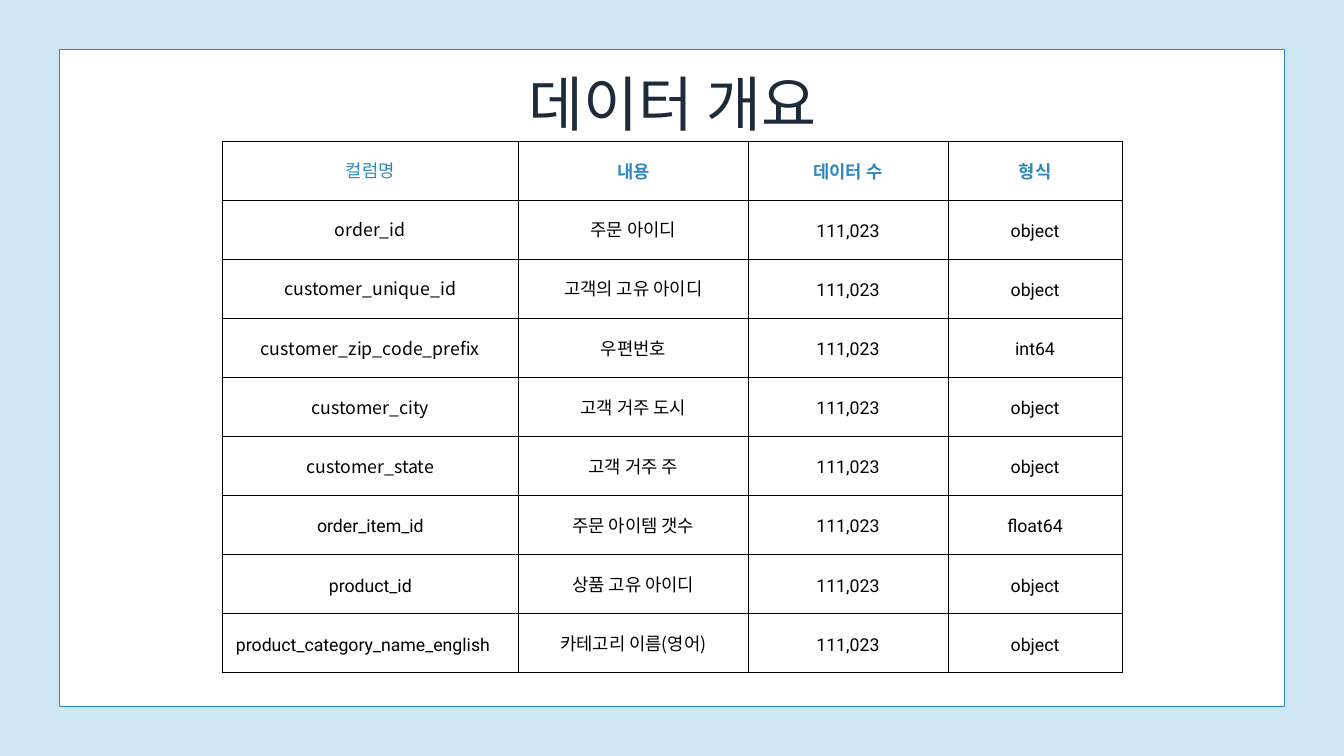
from pptx import Presentation
from pptx import util as u
from pptx.dml.color import RGBColor
from pptx.enum import shapes, text
from pptx.oxml import parse_xml
from pptx.oxml.ns import nsdecls, qn
from lxml import etree

NOTO, ROBOTO = "Noto Sans CJK KR", "Roboto"
COUNT = "111,023"
HEADERS = ["컬럼명", "내용", "데이터 수", "형식"]
FIELDS = [
    ("order_id", "주문 아이디", "object"),
    ("customer_unique_id", "고객의 고유 아이디", "object"),
    ("customer_zip_code_prefix", "우편번호", "int64"),
    ("customer_city", "고객 거주 도시", "object"),
    ("customer_state", "고객 거주 주", "object"),
    ("order_item_id", "주문 아이템 갯수", "float64"),
    ("product_id", "상품 고유 아이디", "object"),
    ("product_category_name_english", "카테고리 이름(영어)", "object"),
]
COLUMN_WIDTHS = [318, 245.5, 214.5, 186.5]
ROW_HEIGHT = 63.28


def color(value):
    return RGBColor.from_string(value)


class SlideBuilder:
    """Holds the style and the slide being filled."""

    background, panel_fill, panel_line = "CEE6F4", "FFFFFF", "3087BB"
    title_ink, header_ink, first_header_ink, ink = "1D2A3A", "3087BB", "2D8BBA", "000000"
    title_size, cell_size, cell_margin, border_width = 64, 19, 15, 0.75
    leading = 1.4

    def __init__(self, deck):
        self.slide = deck.slides.add_slide(deck.slide_layouts[5])
        fill = self.slide.background.fill
        fill.solid()
        fill.fore_color.rgb = color(self.background)

    def format_text(self, para, font, size, ink, bold=False, align=text.PP_ALIGN.CENTER):
        para.alignment = align
        para.line_spacing = u.Pt(size * self.leading)
        for span in para.runs:
            span.font.name = font
            span.font.size = u.Pt(size)
            span.font.bold = bold
            span.font.color.rgb = color(ink)
            east_asian = etree.SubElement(span.font._element, qn("a:ea"))
            east_asian.set("typeface", font)

    def panel(self, left, top, width, height):
        """Draw the white page area behind the title."""
        box = self.slide.shapes.add_shape(
            shapes.MSO_SHAPE.RECTANGLE, u.Pt(left), u.Pt(top), u.Pt(width), u.Pt(height))
        box.shadow.inherit = False
        box.fill.solid()
        box.fill.fore_color.rgb = color(self.panel_fill)
        box.line.color.rgb = color(self.panel_line)
        box.line.width = u.Pt(1.5)
        self.slide.shapes.title.element.addprevious(box.element)

    def title(self, wording, left, top, width, height):
        box = self.slide.shapes.title
        box.left, box.top, box.width, box.height = map(u.Pt, (left, top, width, height))
        frame = box.text_frame
        frame.text = wording
        frame.word_wrap = True
        frame.auto_size = text.MSO_AUTO_SIZE.SHAPE_TO_FIT_TEXT
        frame.vertical_anchor = text.MSO_ANCHOR.TOP
        frame.margin_left = frame.margin_right = frame.margin_top = frame.margin_bottom = 0
        self.format_text(frame.paragraphs[0], NOTO, self.title_size, self.title_ink)

    def table(self, left, top, widths, row_height, row_count):
        grid = self.slide.shapes.add_table(
            row_count, len(widths), u.Pt(left), u.Pt(top),
            u.Pt(sum(widths)), u.Pt(row_height * row_count)).table
        grid.first_row = grid.horz_banding = False
        for column, width in zip(grid.columns, widths):
            column.width = u.Pt(width)
        for row in grid.rows:
            row.height = u.Pt(row_height)
        return grid

    def cell(self, cell, wording, font, ink, bold=False, align=text.PP_ALIGN.CENTER):
        cell.text_frame.text = wording
        cell.vertical_anchor = text.MSO_ANCHOR.MIDDLE
        cell.margin_left = cell.margin_right = u.Pt(self.cell_margin)
        cell.margin_top = cell.margin_bottom = u.Pt(self.cell_margin)
        self.format_text(cell.text_frame.paragraphs[0], font, self.cell_size, ink, bold, align)
        properties = cell._tc.get_or_add_tcPr()
        for side in ("lnL", "lnR", "lnT", "lnB"):
            properties.append(parse_xml(
                f'<a:{side} {nsdecls("a")} w="{u.Pt(self.border_width)}"><a:solidFill>'
                f'<a:srgbClr val="{self.ink}"/></a:solidFill></a:{side}>'))
        cell.fill.background()


def main():
    deck = Presentation()
    deck.slide_width, deck.slide_height = u.Pt(1440), u.Pt(810)
    page = SlideBuilder(deck)
    page.panel(64, 53.2, 1312, 703.6)

    grid = page.table(237.8, 151.2, COLUMN_WIDTHS, ROW_HEIGHT, len(FIELDS) + 1)
    for index, header in enumerate(HEADERS):
        first = index == 0
        page.cell(grid.cell(0, index), header, NOTO if first else ROBOTO,
                  page.first_header_ink if first else page.header_ink, bold=not first)
    for row, (name, meaning, kind) in enumerate(FIELDS, 1):
        name_font = NOTO if name.startswith("customer") or name == "order_id" else ROBOTO
        last = row == len(FIELDS)
        name_align = text.PP_ALIGN.LEFT if last else text.PP_ALIGN.CENTER
        page.cell(grid.cell(row, 0), name, name_font, page.ink, align=name_align)
        for column, (wording, font) in enumerate(
                [(meaning, NOTO), (COUNT, ROBOTO), (kind, ROBOTO)], 1):
            page.cell(grid.cell(row, column), wording, font, page.ink)

    page.title("데이터 개요", 432, 59, 576.7, 85.7)
    deck.save("out.pptx")


if __name__ == "__main__":
    main()
